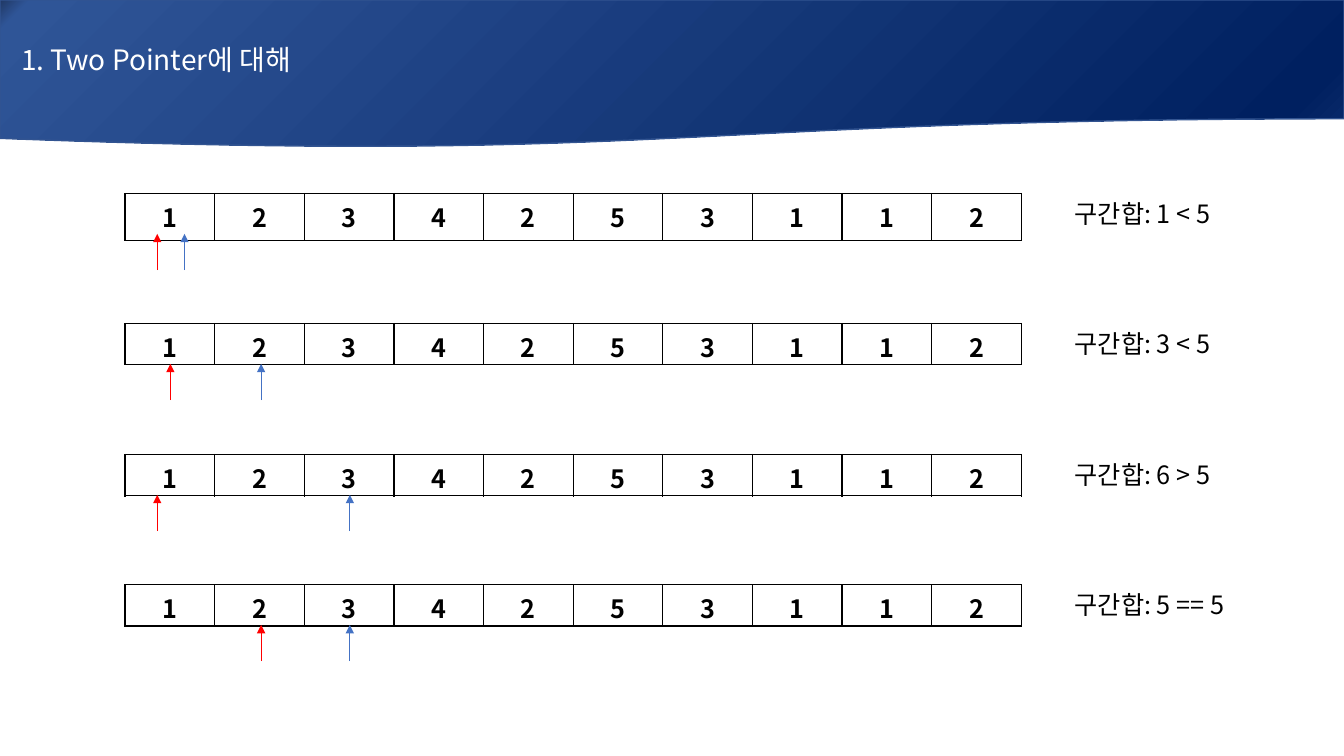
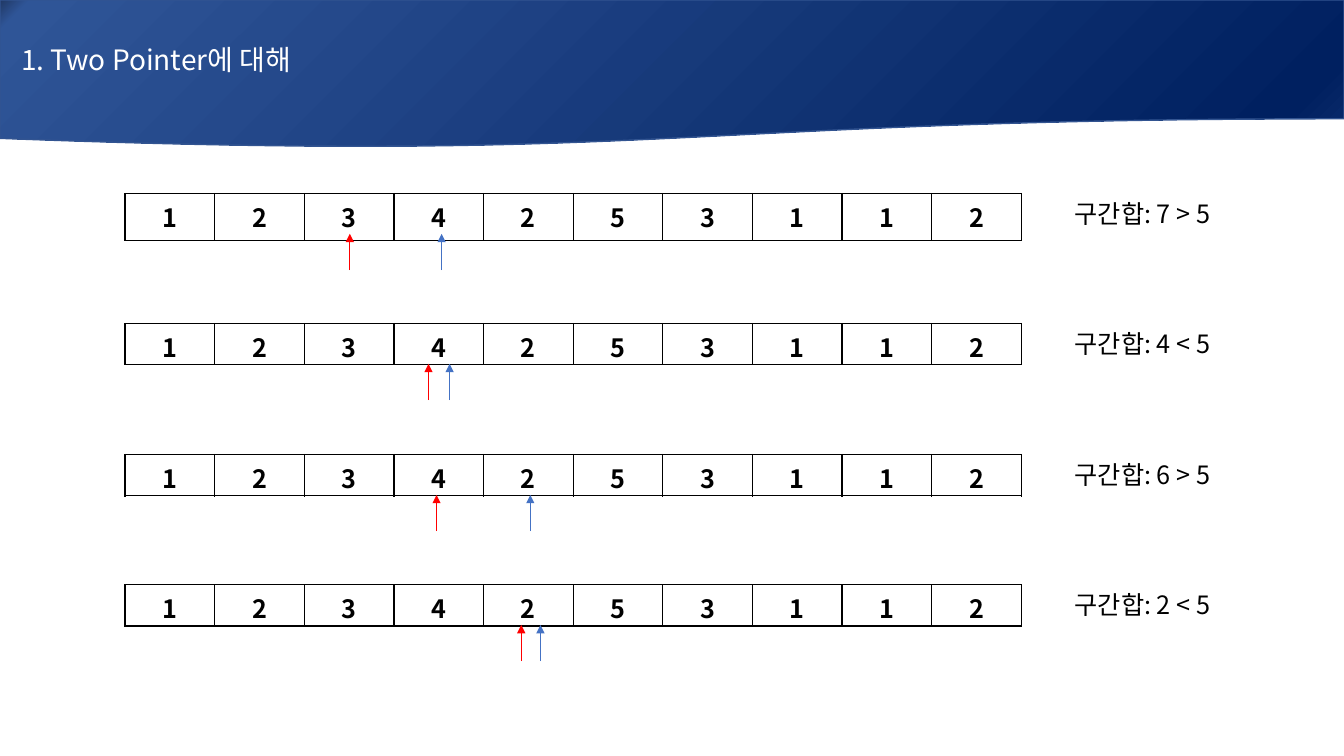
from copy import deepcopy

from pptx import Presentation
from pptx.dml.color import RGBColor
from pptx.enum.shapes import MSO_CONNECTOR, MSO_SHAPE
from pptx.enum.text import MSO_ANCHOR, MSO_AUTO_SIZE, PP_ALIGN
from pptx.oxml import parse_xml
from pptx.oxml.ns import nsdecls, qn
from pptx.util import Emu, Pt

WAVE = MSO_SHAPE.FLOWCHART_DOCUMENT
LINE = MSO_CONNECTOR.STRAIGHT
MIDDLE = MSO_ANCHOR.MIDDLE
GROW = MSO_AUTO_SIZE.SHAPE_TO_FIT_TEXT
LEFT, CENTER = PP_ALIGN.LEFT, PP_ALIGN.CENTER

WHITE = RGBColor(0xFF, 0xFF, 0xFF)
BLACK = RGBColor(0x00, 0x00, 0x00)
RED = RGBColor(0xFF, 0x00, 0x00)
BLUE = RGBColor(0x44, 0x72, 0xC4)
EDGE = RGBColor(0x32, 0x54, 0x91)
GRAD = (
    (0, RGBColor(0x20, 0x38, 0x64)),
    (0.02, RGBColor(0x2F, 0x55, 0x97)),
    (0.94, RGBColor(0x00, 0x20, 0x60)),
    (1, RGBColor(0x0D, 0x2E, 0x6F)),
)

FACE = "Noto Sans CJK KR"
HEAD = {"size": Pt(20), "name": FACE, "bold": False}
BODY = {"size": Pt(18), "name": FACE, "bold": False}
BOLD = {**BODY, "bold": True}

SCALE = 9144
WIDE, HIGH = 1333, 750
TITLE = "1. Two Pointer에 대해"
ITEMS = (1, 2, 3, 4, 2, 5, 3, 1, 1, 2)
ROW_W, ROW_H = 889, 41
ROW_X, ROW_Y, SPAN = 124, 192, 388
TIP, FOOT = 40, 76
NOTE_X, NOTE_W, NOTE_H = 932, 188, 40

SLIDES = (
    (
        ("1 < 5", 32, 59),
        ("3 < 5", 45, 135),
        ("6 > 5", 32, 223),
        ("5 == 5", 135, 223),
    ),
    (
        ("7 > 5", 223, 314),
        ("4 < 5", 301, 322),
        ("6 > 5", 309, 402),
        ("2 < 5", 393, 412),
    ),
)


def px(*sizes):
    return [Emu(size * SCALE) for size in sizes]


def write(frame, text, style, color, align=LEFT):
    para = frame.paragraphs[0]
    para.alignment = align
    run = para.add_run()
    run.text = text
    for key, value in style.items():
        setattr(run.font, key, value)
    run.font.color.rgb = color
    asian = parse_xml(f'<a:ea {nsdecls("a")} typeface="{FACE}"/>')
    run.font._element.find(qn("a:latin")).addnext(asian)


def add_band(slide, x, y, w, h):
    band = slide.shapes.add_shape(WAVE, *px(x, y, w, h))
    band.shadow.inherit = False
    fill = band.fill
    fill.gradient()
    fill.gradient_angle = 315
    stops = next(band._element.spPr.iter(qn("a:gsLst")))
    for stop in list(stops):
        stops.append(deepcopy(stop))
    for stop, (place, color) in zip(fill.gradient_stops, GRAD):
        stop.position = place
        stop.color.rgb = color
    band.line.color.rgb = EDGE
    band.line.width = Pt(1)
    frame = band.text_frame
    frame.word_wrap = True
    frame.vertical_anchor = MIDDLE
    frame.margin_left = px(21)[0]
    write(frame, TITLE, HEAD, WHITE)


def add_edges(cell):
    props = cell._tc.get_or_add_tcPr()
    for side in "LRTB":
        props.append(parse_xml(
            f'<a:ln{side} {nsdecls("a")} w="{Pt(1)}"><a:solidFill>'
            f'<a:srgbClr val="{BLACK}"/></a:solidFill></a:ln{side}>'
        ))


def add_array(slide, x, y, w, h):
    table = slide.shapes.add_table(1, len(ITEMS), *px(x, y, w, h)).table
    table.first_row = table.horz_banding = False
    for col, item in enumerate(ITEMS):
        table.columns[col].width = px(w)[0] // len(ITEMS)
        cell = table.cell(0, col)
        add_edges(cell)
        cell.fill.solid()
        cell.fill.fore_color.rgb = WHITE
        cell.vertical_anchor = MIDDLE
        write(cell.text_frame, str(item), BOLD, BLACK, CENTER)


def add_arrow(slide, x, foot, tip, color):
    arrow = slide.shapes.add_connector(LINE, *px(x, foot, x, tip))
    arrow.line.color.rgb = color
    arrow.line.width = Pt(0.5)
    props = arrow._element.spPr
    props.find(qn("a:ln")).append(
        parse_xml(f'<a:tailEnd {nsdecls("a")} type="triangle"/>')
    )
    props.append(parse_xml(f'<a:effectLst {nsdecls("a")}/>'))


def add_note(slide, x, y, w, h, text):
    frame = slide.shapes.add_textbox(*px(x, y, w, h)).text_frame
    frame.word_wrap = True
    frame.auto_size = GROW
    write(frame, text, BODY, BLACK)


def add_step(slide, x, y, total, start, end):
    add_array(slide, x, y, ROW_W, ROW_H)
    for dx, color in ((start, RED), (end, BLUE)):
        add_arrow(slide, x + dx, y + FOOT, y + TIP, color)
    add_note(slide, x + NOTE_X, y, NOTE_W, NOTE_H, f"구간합: {total}")


def add_page(deck, steps):
    slide = deck.slides.add_slide(deck.slide_layouts[6])
    add_band(slide, 0, 0, WIDE, 147)
    for index, step in enumerate(steps):
        top = ROW_Y + round(index * SPAN / (len(steps) - 1))
        add_step(slide, ROW_X, top, *step)


def main():
    deck = Presentation()
    deck.slide_width, deck.slide_height = px(WIDE, HIGH)
    for steps in SLIDES:
        add_page(deck, steps)
    deck.save("out.pptx")


if __name__ == "__main__":
    main()
